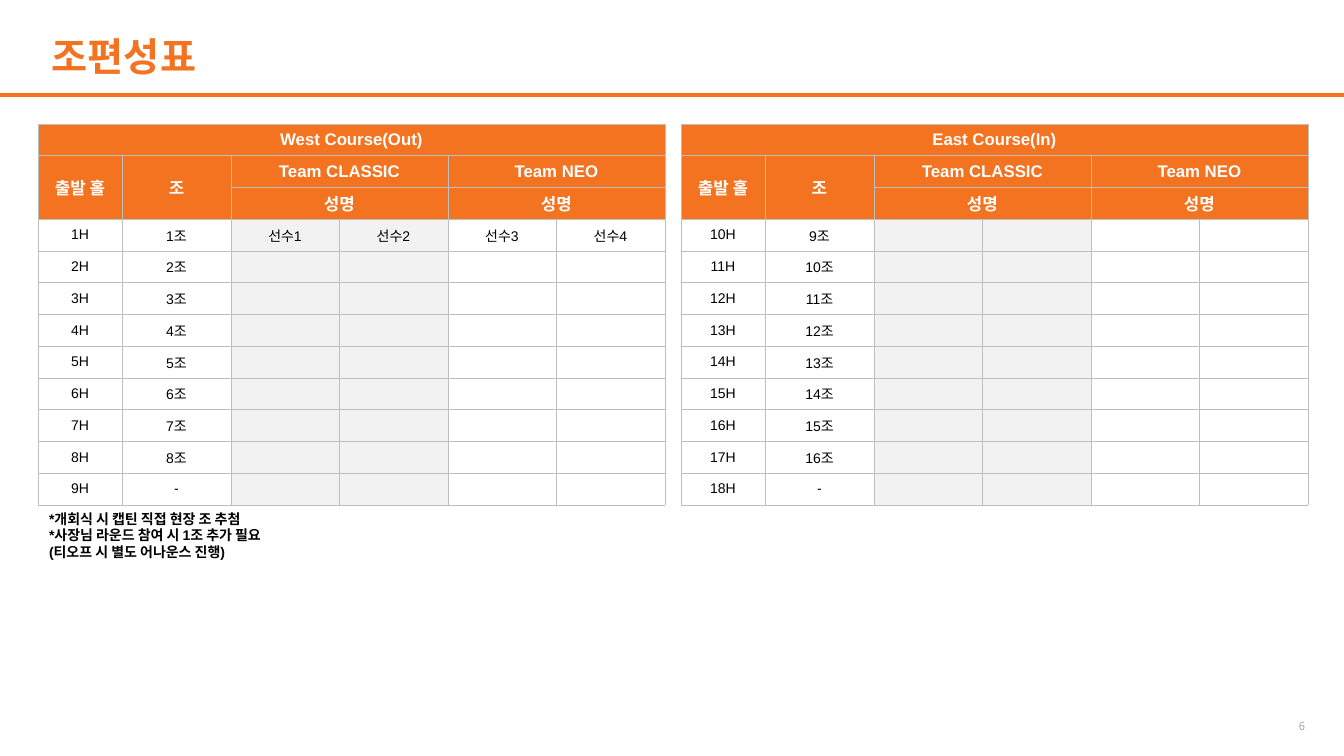
import lxml.etree
import pptx
import pptx.dml.color
import pptx.enum.shapes
import pptx.enum.text
import pptx.oxml.ns
import pptx.util

EMU_PER_PX = 914400 / 100.8
ORANGE = pptx.dml.color.RGBColor(0xF3, 0x73, 0x21)
WHITE = pptx.dml.color.RGBColor(0xFF, 0xFF, 0xFF)
BLACK = pptx.dml.color.RGBColor(0x00, 0x00, 0x00)
LIGHT_GRAY = pptx.dml.color.RGBColor(0xF2, 0xF2, 0xF2)
BORDER_GRAY = pptx.dml.color.RGBColor(0xBF, 0xBF, 0xBF)
NUMBER_GRAY = pptx.dml.color.RGBColor(0xA6, 0xA6, 0xA6)
CENTER = pptx.enum.text.PP_ALIGN.CENTER
LEFT = pptx.enum.text.PP_ALIGN.LEFT
MIDDLE = pptx.enum.text.MSO_ANCHOR.MIDDLE
TOP = pptx.enum.text.MSO_ANCHOR.TOP

COLUMN_WIDTHS = (84, 109, 108, 109, 108, 109)
TABLE_HEIGHT = 381
HEADER_ROWS = 3
HOLES = 9


def px(length):
    return pptx.util.Emu(round(length * EMU_PER_PX))


def sub(parent, tag, **attributes):
    return lxml.etree.SubElement(parent, pptx.oxml.ns.qn(tag), **attributes)


def write(frame, text, size=10, color=BLACK, bold=False, font="Arial", align=LEFT):
    """Fill a text frame, one paragraph per line; empty lines keep the size."""
    for index, line in enumerate(text.split("\n")):
        paragraph = frame.paragraphs[0] if index == 0 else frame.add_paragraph()
        paragraph.alignment = align
        if not line:
            sub(paragraph._p, "a:endParaRPr", sz=str(size * 100))
            continue
        run = paragraph.add_run()
        run.text = line
        run.font.size = pptx.util.Pt(size)
        run.font.name = font
        run.font.bold = bold
        run.font.color.rgb = color


def add_text(slide, box, text, margins=(10, 5), anchor=TOP, wrap=True, **text_format):
    frame = slide.shapes.add_textbox(*map(px, box)).text_frame
    frame.word_wrap = wrap
    frame.vertical_anchor = anchor
    frame.margin_left = frame.margin_right = px(margins[0])
    frame.margin_top = frame.margin_bottom = px(margins[1])
    write(frame, text, **text_format)


def add_rule(slide, y):
    rule = slide.shapes.add_connector(
        pptx.enum.shapes.MSO_CONNECTOR.STRAIGHT, 0, px(y), px(1344), px(y))
    rule.line.color.rgb = ORANGE
    rule.line.width = pptx.util.Pt(3)
    sub(rule._element.spPr, "a:effectLst")


def add_borders(cell):
    properties = cell._tc.get_or_add_tcPr()
    for side in ("a:lnL", "a:lnR", "a:lnT", "a:lnB"):
        line = sub(properties, side, w=str(pptx.util.Pt(0.5)))
        sub(sub(line, "a:solidFill"), "a:srgbClr", val=str(BORDER_GRAY))


def format_cell(cell, text, fill, **text_format):
    cell.margin_left = cell.margin_right = px(4)
    cell.margin_top = cell.margin_bottom = px(4)
    cell.vertical_anchor = MIDDLE
    add_borders(cell)
    cell.fill.solid()
    cell.fill.fore_color.rgb = fill
    write(cell.text_frame, text, align=CENTER, **text_format)


def add_course(slide, left, course, first_hole, first_group, players=("",) * 4):
    """Add the start table of one course; the last hole has no group."""
    rows = [
        (course, "", "", "", "", ""),
        ("출발 홀", "조", "Team CLASSIC", "", "Team NEO", ""),
        ("", "", "성명", "", "성명", ""),
    ]
    for index in range(HOLES):
        group = f"{first_group + index}조" if index < HOLES - 1 else "-"
        names = players if index == 0 else ("",) * 4
        rows.append((f"{first_hole + index}H", group, *names))

    table = slide.shapes.add_table(
        len(rows), len(COLUMN_WIDTHS), px(left), px(124),
        px(sum(COLUMN_WIDTHS)), px(TABLE_HEIGHT)).table
    table.first_row = table.horz_banding = False
    for column, width in zip(table.columns, COLUMN_WIDTHS):
        column.width = px(width)

    for row, texts in enumerate(rows):
        table.rows[row].height = px(TABLE_HEIGHT / len(rows))
        for column, text in enumerate(texts):
            cell = table.cell(row, column)
            if row < HEADER_ROWS:
                format_cell(cell, text, ORANGE, size=12, color=WHITE, bold=True)
            else:
                format_cell(cell, text, LIGHT_GRAY if column in (2, 3) else WHITE)

    table.cell(0, 0).merge(table.cell(0, 5))
    for column in (0, 1):
        table.cell(1, column).merge(table.cell(2, column))
    for row in (1, 2):
        for column in (2, 4):
            table.cell(row, column).merge(table.cell(row, column + 1))


def main():
    deck = pptx.Presentation()
    deck.slide_width, deck.slide_height = px(1344), px(756)
    slide = deck.slides.add_slide(deck.slide_layouts[6])

    add_text(slide, (1286, 713, 41, 27), "6", margins=(13, 6), wrap=False,
             size=8, color=NUMBER_GRAY, font="Noto Sans CJK KR")
    add_rule(slide, 95)
    add_text(slide, (39, 29, 1265, 53), "조편성표", margins=(13, 7), anchor=MIDDLE,
             size=28, color=ORANGE, bold=True)
    add_course(slide, 681, "East Course(In)", first_hole=10, first_group=9)
    add_course(slide, 38, "West Course(Out)", first_hole=1, first_group=1,
               players=("선수1", "선수2", "선수3", "선수4"))
    add_text(slide, (39, 505, 266, 61),
             "*개회식 시 캡틴 직접 현장 조 추첨\n"
             "*사장님 라운드 참여 시 1조 추가 필요\n"
             "(티오프 시 별도 어나운스 진행)", bold=True)
    deck.save("out.pptx")


if __name__ == "__main__":
    main()
